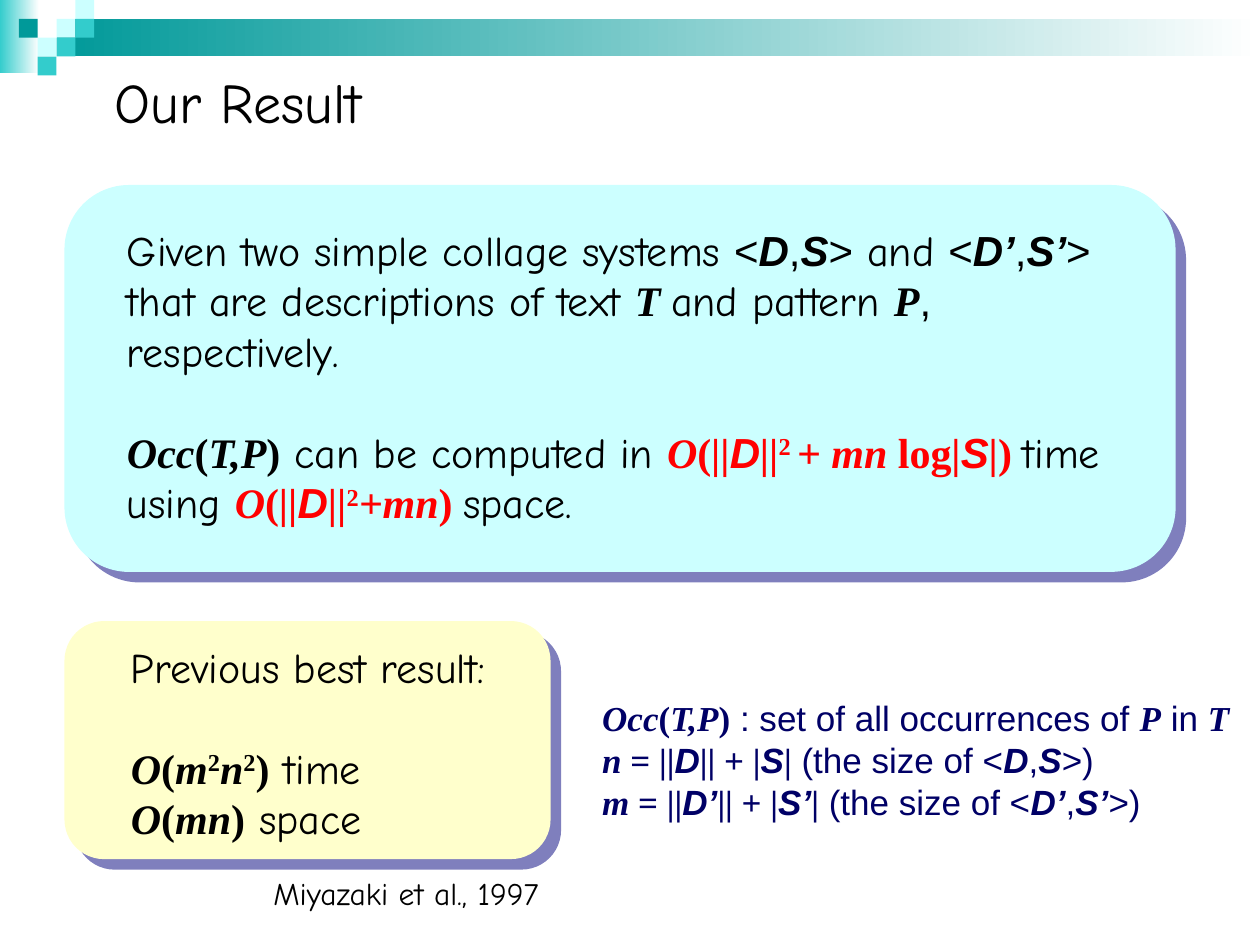
from pptx import Presentation
from pptx.dml.color import RGBColor
from pptx.enum.shapes import MSO_SHAPE as Kind
from pptx.enum.text import MSO_ANCHOR as Anchor, PP_ALIGN as Align
from pptx.util import Cm, Pt
from lxml import etree

NS = "http://schemas.openxmlformats.org/drawingml/2006/main"
FACES = {"c": "Comic Neue", "a": "Arial", "t": "Times New Roman"}
hue = RGBColor.from_string


def block(kind, left, top, wide, high, tint):
    shape = slide.shapes.add_shape(kind, Cm(left), Cm(top), Cm(wide), Cm(high))
    shape.shadow.inherit = False
    shape.line.fill.background()
    shape.fill.solid()
    shape.fill.fore_color.rgb = hue(tint)
    return shape


def write(box, size, tint, lines, wrap=False):
    frame = box.text_frame
    frame.word_wrap = wrap
    frame.vertical_anchor = Anchor.TOP
    for n, (gap, runs) in enumerate(lines):
        para = frame.add_paragraph() if n else frame.paragraphs[0]
        para.alignment = Align.LEFT
        para.space_before = Pt(gap)
        para.font.size = Pt(size)
        para.font.color.rgb = hue(tint)
        faces = {style[0] for style, text in runs}
        if len(faces) == 1:
            para.font.name = FACES[runs[0][0][0]]
        for style, text in runs:
            run = para.add_run()
            run.text = text
            font = run.font
            if len(faces) > 1:
                font.name = FACES[style[0]]
            if "b" in style:
                font.bold = True
            if "i" in style:
                font.italic = True
            if "r" in style:
                font.color.rgb = hue("FF0000")
            if "u" in style:
                run._r.get_or_add_rPr().set("baseline", "30000")


deck = Presentation()
deck.slide_width, deck.slide_height = Cm(25.4), Cm(19.05)
slide = deck.slides.add_slide(deck.slide_layouts[5])

for left, top, wide, high, tint in [
    (0, 0, 0.79, 1.47, "33CCCC"),
    (1.14, 0.38, 24.26, 0.76, "009999"),
]:
    band = block(Kind.RECTANGLE, left, top, wide, high, tint)
    band.fill.gradient()
    band.fill.gradient_angle = 0
    for stop, shade in zip(band.fill.gradient_stops, (tint, "FFFFFF")):
        stop.color.rgb = hue(shade)

side = 0.38
for col, row, tint in [
    (3, 1, "CCFFFF"), (4, 0, "CCFFFF"), (4, 1, "33CCCC"), (2, 2, "CCFFFF"),
    (1, 1, "009999"), (3, 2, "33CCCC"), (2, 3, "33CCCC"),
]:
    block(Kind.RECTANGLE, col * side, row * side, side, side, tint)

for top, wide, high, tint in [
    (3.73, 22.4, 7.8, "CCFFFF"),
    (12.52, 9.8, 4.8, "FFFFCC"),
]:
    card = block(Kind.ROUNDED_RECTANGLE, 1.3, top, wide, high, tint)
    glow = card._element.spPr.find(f"{{{NS}}}effectLst")
    glow.append(etree.fromstring(
        f'<a:outerShdw xmlns:a="{NS}" blurRad="0" dist="{Pt(8.5)}" dir="2700000" '
        'algn="ctr" rotWithShape="0"><a:srgbClr val="00007D">'
        '<a:alpha val="50000"/></a:srgbClr></a:outerShdw>'))

title = slide.shapes.title
title.left, title.top, title.width, title.height = Cm(2.06), Cm(1.24), Cm(5.49), Cm(1.63)
write(title, 32, "000000", [(0, [("c", "Our Result")])])

occ = [("tbi", "Occ"), ("tb", "("), ("tbi", "T,P"), ("tb", ")")]
pair = [("a", "<"), ("abi", "D"), ("a", ","), ("abi", "S"), ("a", ">")]
prime = [("a", "<"), ("abi", "D’"), ("a", ","), ("abi", "S’"), ("a", ">")]
cost = [("tbir", "O"), ("tbr", "("), ("tbir", "||"), ("abir", "D"), ("tbir", "||")]

claim = [
    (0, [("c", "Given two simple collage systems "), *pair, ("c", " and "), *prime]),
    (0, [("c", "that are descriptions of text "), ("tbi", "T "), ("c", "and pattern "),
         ("tbi", "P"), ("a", ", "), ("c", "respectively.")]),
    (29, [*occ, ("c", " can be computed in "), *cost, ("tbru", "2 "), ("tbir", "+ mn "),
          ("tbr", "log"), ("tbir", "|"), ("abir", "S"), ("tbir", "|"), ("tbr", ") "),
          ("c", "time")]),
    (0, [("c", "using "), *cost, ("tbru", "2"), ("tbir", "+mn"), ("tbr", ") "),
         ("c", "space.")]),
]
notes = [(0, [*occ, ("a", " : set of all occurrences of "), ("tbi", "P"), ("a", " in "),
              ("tbi", "T")])]
for name, mark, duo in [("n ", "", pair), ("m ", "’", prime)]:
    notes.append((0, [("tbi", name), ("tb", "= ||"), ("abi", "D" + mark), ("tb", "|| + |"),
                      ("abi", "S" + mark), ("tb", "|"), ("a", " (the size of "), *duo,
                      ("a", ")")]))
prior = [
    (0, [("c", "Previous best result:")]),
    (29, [("tbi", "O"), ("tb", "("), ("tbi", "m"), ("tbu", "2"), ("tbi", "n"), ("tbu", "2"),
          ("tb", ")"), ("c", " time")]),
    (0, [("tbi", "O"), ("tb", "("), ("tbi", "mn"), ("tb", ")"), ("c", " space")]),
]
cite = [(0, [("c", "Miyazaki et al., 1997")])]

for left, top, wide, high, size, tint, lines, wrap in [
    (2.31, 4.4, 20.98, 6.35, 24, "000000", claim, True),
    (11.89, 13.92, 13.21, 2.8, 20, "000066", notes, False),
    (2.39, 12.8, 7.67, 4.32, 24, "000000", prior, False),
    (5.26, 17.5, 5.87, 1.02, 18, "000000", cite, False),
]:
    box = slide.shapes.add_textbox(Cm(left), Cm(top), Cm(wide), Cm(high))
    write(box, size, tint, lines, wrap)

deck.save("out.pptx")
